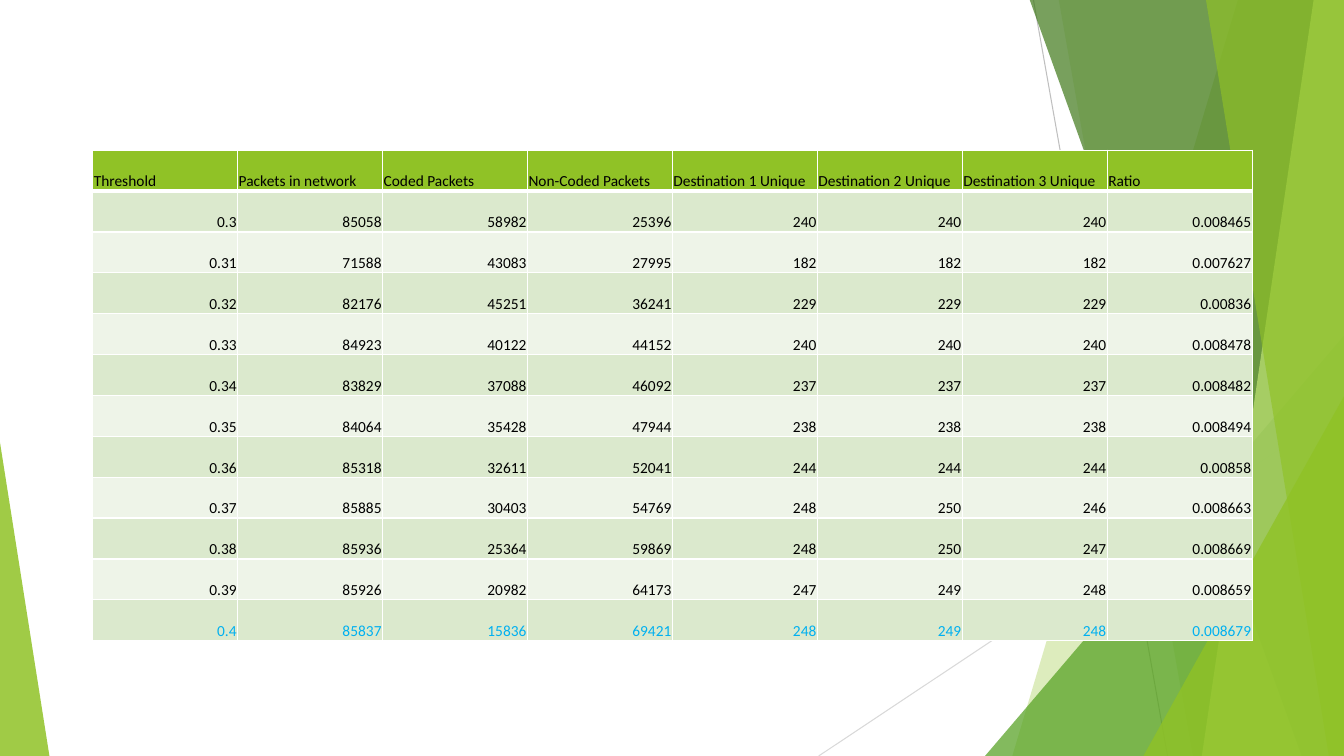
from lxml.etree import SubElement
from pptx import Presentation
from pptx.dml.color import RGBColor
from pptx.enum.shapes import MSO_CONNECTOR, MSO_SHAPE
from pptx.enum.text import MSO_ANCHOR, PP_ALIGN
from pptx.oxml.ns import qn
from pptx.util import Inches, Pt


def paint(fill, color, opacity=100):
    fill.solid()
    fill.fore_color.rgb = RGBColor.from_string(color)
    if opacity < 100:
        color_element = fill._xPr.find(qn("a:solidFill"))[0]
        SubElement(color_element, qn("a:alpha"), val=str(opacity * 1000))


def add_border(cell, side, points):
    properties = cell._tc.get_or_add_tcPr()
    border = SubElement(properties, qn(f"a:ln{side}"), w=str(Pt(points)))
    solid = SubElement(border, qn("a:solidFill"))
    SubElement(solid, qn("a:srgbClr"), val="FFFFFF")


WIDTH, HEIGHT = 13.33, 7.5
presentation = Presentation()
presentation.slide_width = Inches(WIDTH)
presentation.slide_height = Inches(HEIGHT)
slide = presentation.slides.add_slide(presentation.slide_layouts[6])
paint(slide.background.fill, "FFFFFF")

rays = [
    ((10.25, 0, 11.58, HEIGHT), "BFBFBF"),
    ((WIDTH, 4.03, 8.12, HEIGHT), "D9D9D9"),
]
for ends, color in rays:
    ray = slide.shapes.add_connector(MSO_CONNECTOR.STRAIGHT, *map(Inches, ends))
    ray.line.width = Pt(0.75)
    paint(ray.line.fill, color)
    SubElement(ray._element.spPr, qn("a:effectLst"))

# Bands give top and bottom x; triangles give left, top, width, height, apex.
facets = [
    ((12.28, 10.04), "90C226", 30),
    ((10.5, 11.83), "90C226", 20),
    ((9.77, 3.33, 3.56, 4.17, 1), "54A021", 72),
    ((10.21, 12.91), "3F7819", 70),
    ((13.03, 11.92), "C0E474", 70),
    ((11.96, 13.18), "90C226", 65),
    ((11.34, 3.93, 1.99, 3.57, 1), "90C226", 80),
    ((0, 4.39, 0.49, 3.11, 0), "90C226", 85),
]
for outline, color, opacity in facets:
    if len(outline) == 2:
        top_x, bottom_x = outline
        corners = [(WIDTH, -0.01), (WIDTH, HEIGHT), (bottom_x, HEIGHT)]
        band = slide.shapes.build_freeform(Inches(top_x), Inches(-0.01))
        band.add_line_segments([(Inches(x), Inches(y)) for x, y in corners])
        facet = band.convert_to_shape()
    else:
        *box, apex = outline
        facet = slide.shapes.add_shape(MSO_SHAPE.ISOSCELES_TRIANGLE, *map(Inches, box))
        facet.adjustments[0] = apex
    paint(facet.fill, color, opacity)
    facet.line.fill.background()
    facet.shadow.inherit = False

results = [
    ["Threshold", "Packets in network", "Coded Packets", "Non-Coded Packets",
     "Destination 1 Unique", "Destination 2 Unique", "Destination 3 Unique", "Ratio"],
    ["0.3", "85058", "58982", "25396", "240", "240", "240", "0.008465"],
    ["0.31", "71588", "43083", "27995", "182", "182", "182", "0.007627"],
    ["0.32", "82176", "45251", "36241", "229", "229", "229", "0.00836"],
    ["0.33", "84923", "40122", "44152", "240", "240", "240", "0.008478"],
    ["0.34", "83829", "37088", "46092", "237", "237", "237", "0.008482"],
    ["0.35", "84064", "35428", "47944", "238", "238", "238", "0.008494"],
    ["0.36", "85318", "32611", "52041", "244", "244", "244", "0.00858"],
    ["0.37", "85885", "30403", "54769", "248", "250", "246", "0.008663"],
    ["0.38", "85936", "25364", "59869", "248", "250", "247", "0.008669"],
    ["0.39", "85926", "20982", "64173", "247", "249", "248", "0.008659"],
    ["0.4", "85837", "15836", "69421", "248", "249", "248", "0.008679"],
]
last_row = len(results) - 1
results_table = slide.shapes.add_table(
    len(results), len(results[0]), Inches(0.92), Inches(1.49), Inches(11.5), Inches(4.87)
).table
for row, values in enumerate(results):
    for column, value in enumerate(values):
        cell = results_table.cell(row, column)
        cell.margin_left = cell.margin_right = cell.margin_top = Inches(0.01)
        cell.margin_bottom = 0
        cell.vertical_anchor = MSO_ANCHOR.BOTTOM
        add_border(cell, "L", 1)
        add_border(cell, "R", 1)
        add_border(cell, "T", 3 if row == 1 else 1)
        add_border(cell, "B", 3 if row == 0 else 1)
        paint(cell.fill, "90C226" if row == 0 else "DBE9CD" if row % 2 else "EEF4E8")
        paragraph = cell.text_frame.paragraphs[0]
        paragraph.text = value
        paragraph.alignment = PP_ALIGN.LEFT if row == 0 else PP_ALIGN.RIGHT
        font = paragraph.runs[0].font
        font.name = "Calibri"
        font.size = Pt(11)
        font.bold = False
        paint(font.fill, "00B0F0" if row == last_row else "000000")

presentation.save("out.pptx")
